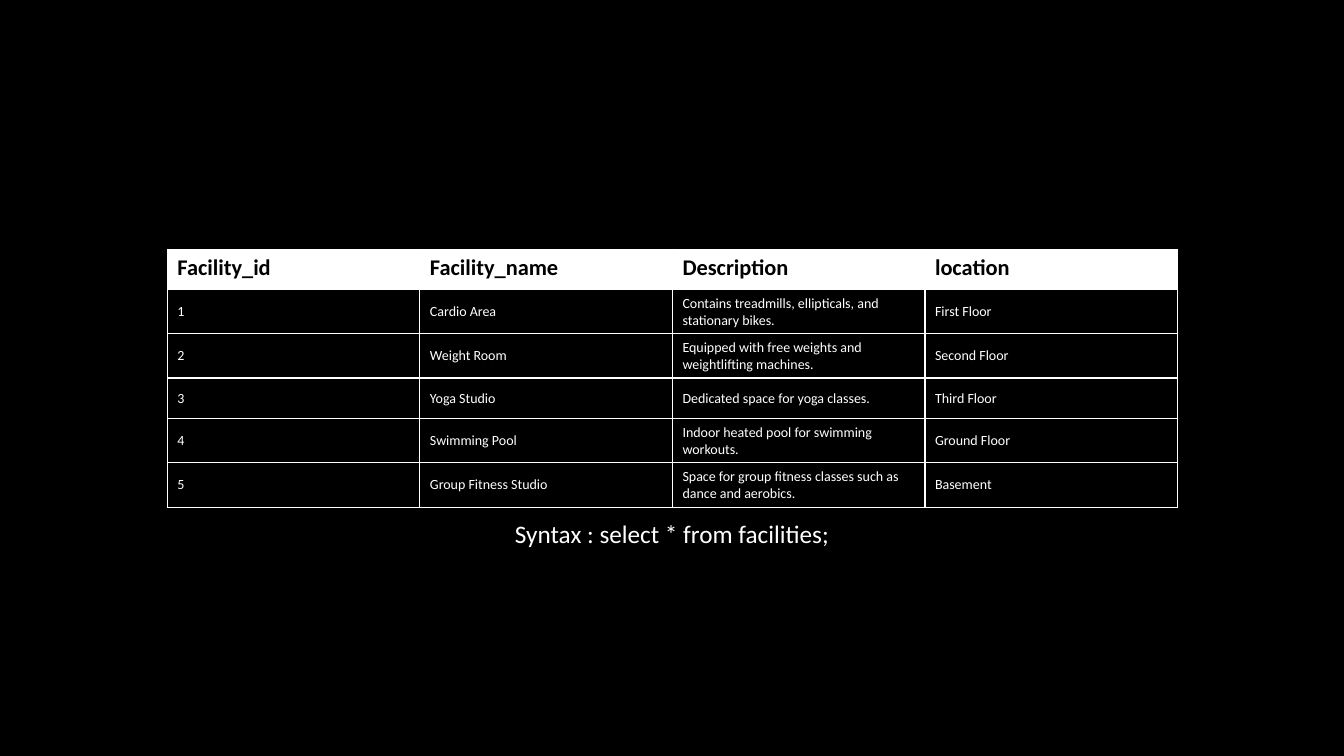
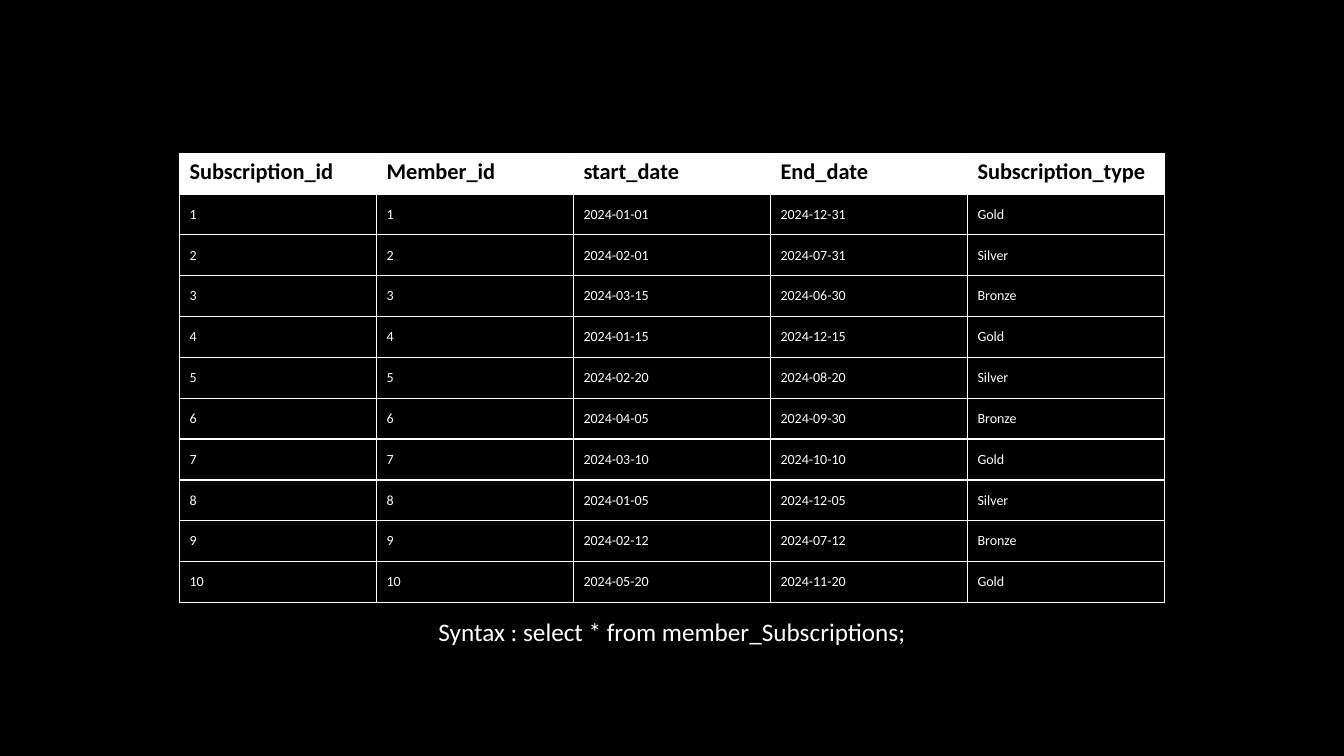
import pptx
import pptx.util
import pptx.dml.color
import pptx.enum.text
import pptx.oxml
import pptx.oxml.ns

Inches, Pt = pptx.util.Inches, pptx.util.Pt
RGB = pptx.dml.color.RGBColor.from_string
ANCHOR = pptx.enum.text.MSO_ANCHOR
COLORS = {"black": "000000", "white": "FFFFFF"}
FONT = "Calibri"
INNER, OUTER = Pt(1), Pt(0.5)


def set_font(p, size, color, bold=False):
    p.font.name = FONT
    p.font.size = Pt(size)
    p.font.bold = bold
    p.font.color.rgb = RGB(COLORS[color])


def add_border(cell, side, width):
    cell._tc.get_or_add_tcPr().append(pptx.oxml.parse_xml(
        f'<a:ln{side} {pptx.oxml.ns.nsdecls("a")} w="{width}">'
        f'<a:solidFill><a:srgbClr val="{COLORS["white"]}"/></a:solidFill>'
        f'</a:ln{side}>'))


# Table content and placement: left, top, width, height
slides = [
    {
        "box": (1.66, 2.47, 10.02, 2.43),
        "rows": [
            ("Facility_id", "Facility_name", "Description", "location"),
            ("1", "Cardio Area", "Contains treadmills, ellipticals, and stationary bikes.", "First Floor"),
            ("2", "Weight Room", "Equipped with free weights and weightlifting machines.", "Second Floor"),
            ("3", "Yoga Studio", "Dedicated space for yoga classes.", "Third Floor"),
            ("4", "Swimming Pool", "Indoor heated pool for swimming workouts.", "Ground Floor"),
            ("5", "Group Fitness Studio", "Space for group fitness classes such as dance and aerobics.", "Basement"),
        ],
        "syntax": "Syntax : select * from facilities;",
        "syntax_top": 5.09,
    },
    {
        "box": (1.78, 1.52, 9.77, 4.46),
        "rows": [
            ("Subscription_id", "Member_id", "start_date", "End_date", "Subscription_type"),
            ("1", "1", "2024-01-01", "2024-12-31", "Gold"),
            ("2", "2", "2024-02-01", "2024-07-31", "Silver"),
            ("3", "3", "2024-03-15", "2024-06-30", "Bronze"),
            ("4", "4", "2024-01-15", "2024-12-15", "Gold"),
            ("5", "5", "2024-02-20", "2024-08-20", "Silver"),
            ("6", "6", "2024-04-05", "2024-09-30", "Bronze"),
            ("7", "7", "2024-03-10", "2024-10-10", "Gold"),
            ("8", "8", "2024-01-05", "2024-12-05", "Silver"),
            ("9", "9", "2024-02-12", "2024-07-12", "Bronze"),
            ("10", "10", "2024-05-20", "2024-11-20", "Gold"),
        ],
        "syntax": "Syntax : select * from member_Subscriptions;",
        "syntax_top": 6.07,
    },
]

# Presentation with a black background on the master
prs = pptx.Presentation()
prs.slide_width, prs.slide_height = Inches(13.33), Inches(7.5)
bg = prs.slide_master.background.fill
bg.solid()
bg.fore_color.rgb = RGB(COLORS["black"])

for content in slides:
    s = prs.slides.add_slide(prs.slide_layouts[6])

    # Table
    rows = content["rows"]
    n_rows, n_cols = len(rows), len(rows[0])
    table = s.shapes.add_table(n_rows, n_cols, *map(Inches, content["box"])).table
    table.horz_banding = False
    for i, row in enumerate(rows):
        header = i == 0
        for j, text in enumerate(row):
            cell = table.cell(i, j)
            cell.text = text
            cell.vertical_anchor = ANCHOR.TOP if header else ANCHOR.MIDDLE
            # Thin lines around the table, thicker ones between cells
            edges = {"L": j == 0, "R": j == n_cols - 1, "T": header, "B": i == n_rows - 1}
            for side, outer in edges.items():
                add_border(cell, side, OUTER if outer else INNER)
            cell.fill.solid()
            cell.fill.fore_color.rgb = RGB(COLORS["white" if header else "black"])
            set_font(cell.text_frame.paragraphs[0], 16 if header else 10,
                     "black" if header else "white", bold=header)

    # Query below the table
    sp = s.shapes.add_textbox(Inches(3.33), Inches(content["syntax_top"]), Inches(6.67), Inches(0.4))
    tf = sp.text_frame
    tf.word_wrap = True
    tf.auto_size = pptx.enum.text.MSO_AUTO_SIZE.SHAPE_TO_FIT_TEXT
    p = tf.paragraphs[0]
    p.text = content["syntax"]
    p.alignment = pptx.enum.text.PP_ALIGN.CENTER
    set_font(p, 18, "white")

prs.save("out.pptx")
